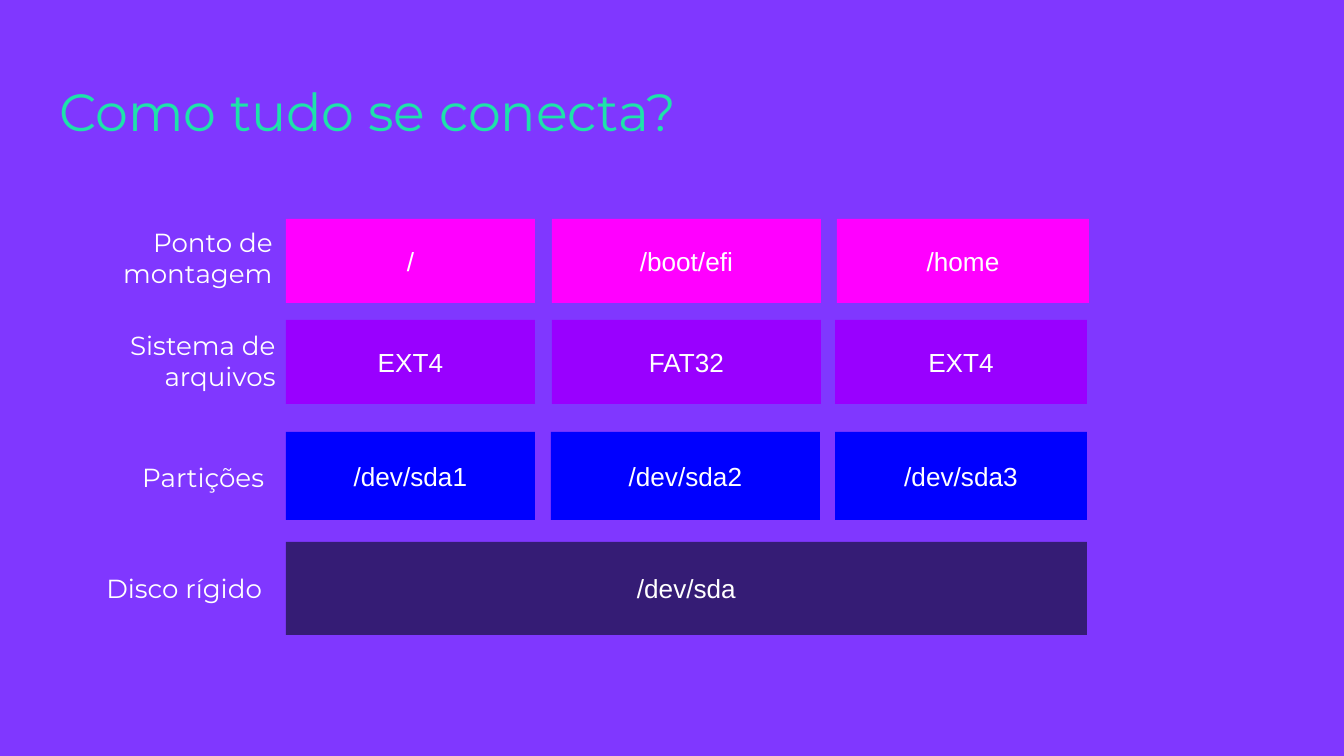
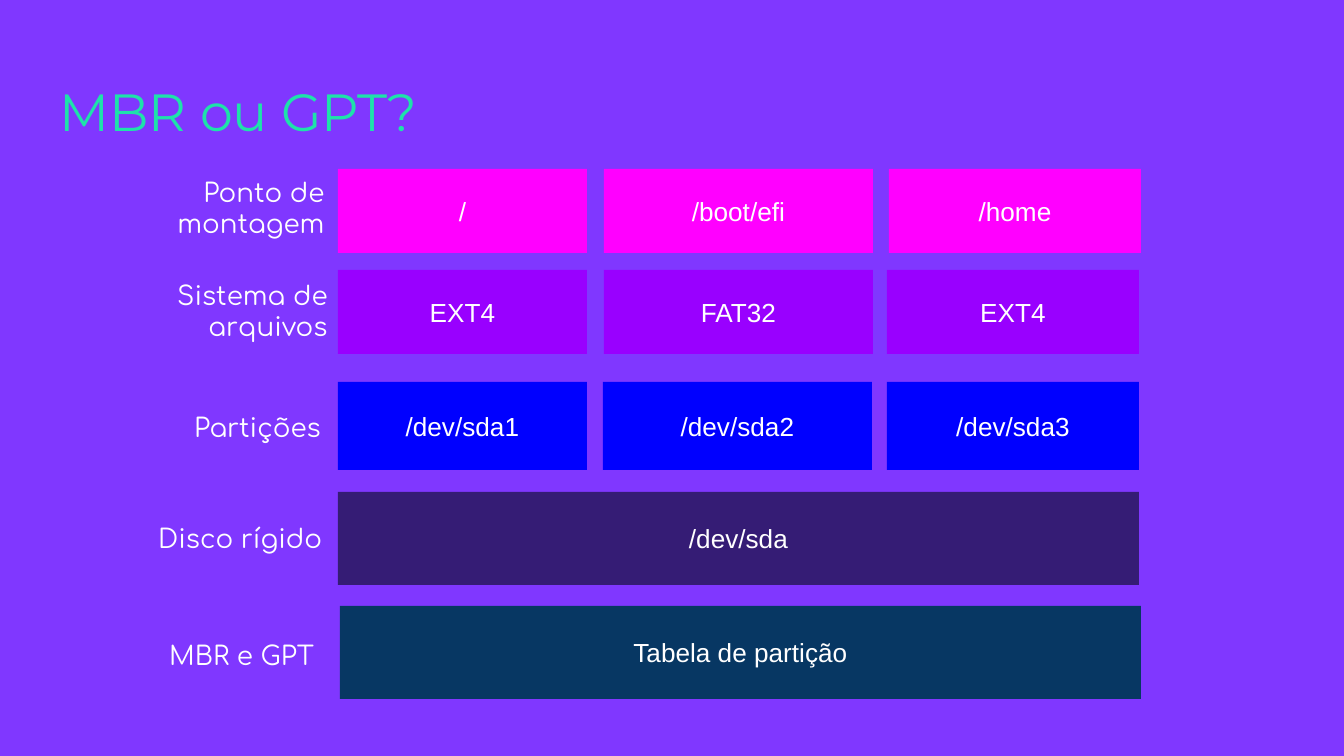
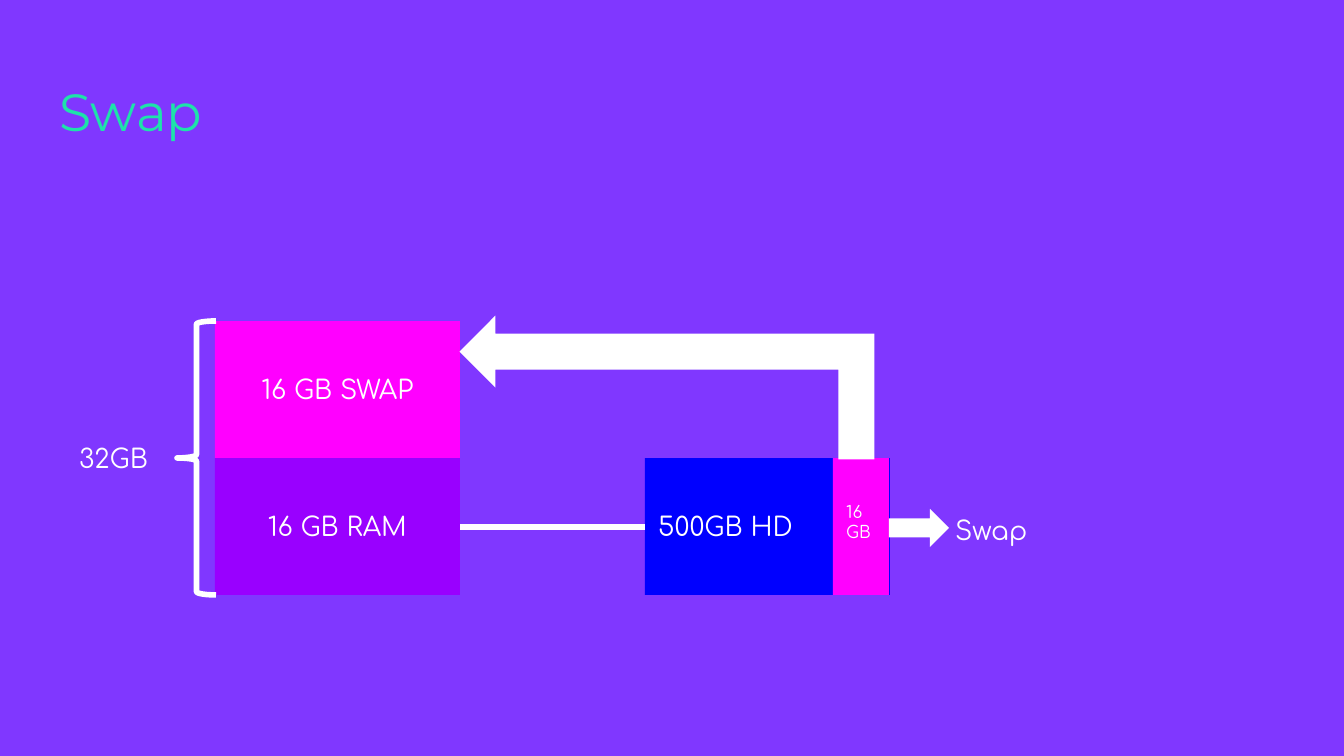
"""Build three slides on disk partitions, partition tables and swap memory."""
import pptx
import pptx.dml.color
import pptx.enum.shapes
import pptx.enum.text
import pptx.oxml.ns
import pptx.util
from lxml import etree

PX = 9144000 / 1344
COLORS = {
    "background": "8037FF", "title": "1EE2AA", "white": "FFFFFF",
    "mount": "FF00FF", "filesystem": "9900FF", "partition": "0000FF",
    "disk": "351C75", "table": "073763",
}
RGB = {name: pptx.dml.color.RGBColor.from_string(value) for name, value in COLORS.items()}
SHAPE = pptx.enum.shapes.MSO_SHAPE
ALIGN = pptx.enum.text.PP_ALIGN
ANCHOR = pptx.enum.text.MSO_ANCHOR
INSETS = ("margin_left", "margin_top", "margin_right", "margin_bottom")


def write(box, text, font, size=14, color="white", align=ALIGN.LEFT, anchor=ANCHOR.TOP):
    """Put one formatted paragraph in a box."""
    frame = box.text_frame
    frame_format = dict.fromkeys(INSETS, round(13.44 * PX))
    frame_format.update(word_wrap=True, vertical_anchor=anchor,
                        auto_size=pptx.enum.text.MSO_AUTO_SIZE.NONE)
    for attribute, value in frame_format.items():
        setattr(frame, attribute, value)
    para = frame.paragraphs[0]
    para.alignment = align
    span = para.add_run()
    span.text = text
    for attribute, value in {"name": font, "size": pptx.util.Pt(size)}.items():
        setattr(span.font, attribute, value)
    span.font.color.rgb = RGB[color]


def draw(page, kind, area, fill=None):
    """Add a preset shape, filled with a named colour or outlined in white."""
    shape = page.shapes.add_shape(kind, *[round(length * PX) for length in area])
    shape.shadow.inherit = False
    if fill:
        shape.fill.solid()
        shape.fill.fore_color.rgb = RGB[fill]
        shape.line.fill.background()
    else:
        shape.fill.background()
        shape.line.color.rgb = RGB["white"]
        shape.line.width = pptx.util.Pt(3)
    return shape


deck = pptx.Presentation()
deck.slide_width = round(1344 * PX)
deck.slide_height = round(756 * PX)
backdrop = deck.slide_master.background.fill
backdrop.solid()
backdrop.fore_color.rgb = RGB["background"]

pages = []
for heading in ("Como tudo se conecta?", "MBR ou GPT?", "Swap"):
    page = deck.slides.add_slide(deck.slide_layouts[5])
    title = page.shapes.title
    for attribute, length in {"left": 46, "top": 66, "width": 1253, "height": 85}.items():
        setattr(title, attribute, round(length * PX))
    write(title, heading, "Montserrat", 28, "title")
    pages.append(page)
connect_page, table_page, swap_page = pages

layers = [
    ("mount", 219, 84, [(286, 249, "/"), (552, 269, "/boot/efi"), (837, 252, "/home")]),
    ("filesystem", 320, 84, [(286, 249, "EXT4"), (552, 269, "FAT32"), (835, 252, "EXT4")]),
    ("partition", 432, 88, [(286, 249, "/dev/sda1"), (551, 269, "/dev/sda2"), (835, 252, "/dev/sda3")]),
    ("disk", 542, 93, [(286, 801, "/dev/sda")]),
    ("table", 656, 93, [(288, 801, "Tabela de partição")]),
]
layer_labels = [
    ("Ponto de montagem", (14, 213, 272, 46), ALIGN.RIGHT),
    ("Sistema de arquivos", (109, 316, 180, 36), ALIGN.RIGHT),
    ("Partições", (129, 448, 191, 64), ALIGN.LEFT),
    ("Disco rígido", (93, 559, 212, 85), ALIGN.LEFT),
    ("MBR e GPT", (104, 676, 179, 46), ALIGN.LEFT),
]
for page, layer_count, shift_x, shift_y, label_font in (
        (connect_page, 4, 0, 0, "Montserrat"), (table_page, 5, 52, -50, "Comfortaa")):
    for fill, top, height, cells in layers[:layer_count]:
        for left, width, text in cells:
            cell = draw(page, SHAPE.RECTANGLE, (left + shift_x, top + shift_y, width, height), fill)
            write(cell, text, "Arial", align=ALIGN.CENTER, anchor=ANCHOR.MIDDLE)
    for text, (left, top, width, height), align in layer_labels[:layer_count]:
        area = (left + shift_x, top + shift_y, width, height)
        label = page.shapes.add_textbox(*[round(length * PX) for length in area])
        write(label, text, label_font, align=align)

memory_blocks = [
    ("16 GB RAM", (215, 458, 245, 137), "filesystem", ALIGN.CENTER),
    ("500GB HD", (645, 458, 245, 137), "partition", ALIGN.LEFT),
    ("16 GB SWAP", (215, 321, 245, 137), "mount", ALIGN.CENTER),
]
for text, area, fill, align in memory_blocks:
    block = draw(swap_page, SHAPE.RECTANGLE, area, fill)
    write(block, text, "Comfortaa", align=align, anchor=ANCHOR.MIDDLE)
draw(swap_page, SHAPE.RECTANGLE, (833, 458, 56, 137), "mount")
draw(swap_page, SHAPE.RIGHT_ARROW, (889, 509, 60, 38), "white")
draw(swap_page, SHAPE.LEFT_BRACE, (177, 321, 39, 274))
swap_arrow = draw(swap_page, SHAPE.BENT_UP_ARROW, (595, 180, 144, 415), "white")
swap_arrow.rotation = 270

memory_labels = [
    ("Swap", (942, 501, 151, 46), 14),
    ("16 GB", (833, 488, 56, 28), 9),
    ("32GB", (66, 429, 102, 38), 14),
]
for text, area, size in memory_labels:
    label = swap_page.shapes.add_textbox(*[round(length * PX) for length in area])
    write(label, text, "Comfortaa", size)

ends = [round(length * PX) for length in (645, 527, 460, 527)]
link = swap_page.shapes.add_connector(pptx.enum.shapes.MSO_CONNECTOR.STRAIGHT, *ends)
link.line.color.rgb = RGB["white"]
link.line.width = pptx.util.Pt(3)
etree.SubElement(link._element.spPr, pptx.oxml.ns.qn("a:effectLst"))

deck.save("out.pptx")
